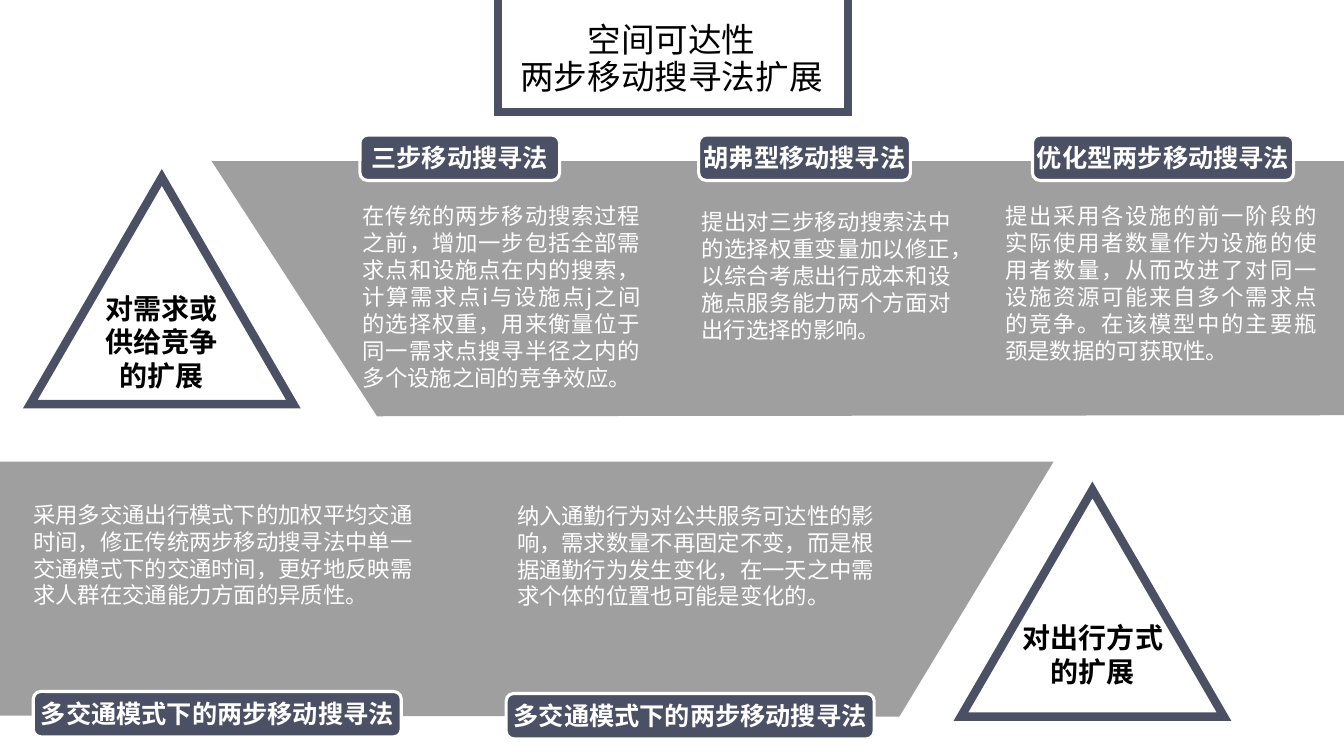
from lxml import etree
from pptx import Presentation
from pptx.dml.color import RGBColor
from pptx.enum import shapes, text
from pptx.oxml import ns
from pptx.util import Inches, Pt

FONT = "Noto Sans CJK SC"
SLATE, GRAY, WHITE, BLACK = "4B5064", "808080", "FFFFFF", "000000"
CENTER, JUSTIFY = text.PP_ALIGN.CENTER, text.PP_ALIGN.JUSTIFY
LEFT = text.PP_ALIGN.LEFT
TOP, MIDDLE = text.MSO_ANCHOR.TOP, text.MSO_ANCHOR.MIDDLE

TRIANGLES = [(0.3, 1.76), (9.53, 4.86)]
TRIANGLE_TEXTS = [
    (0.89, 2.84, 1.43, 1.11, "对需求或供给竞争的扩展"),
    (9.98, 6.11, 1.72, 0.77, "对出行方式的扩展"),
]
LABELS = [
    (3.57, 1.34, 1.98, "三步移动搜寻法"),
    (6.93, 1.34, 2.1, "胡弗型移动搜寻法"),
    (10.24, 1.34, 2.59, "优化型两步移动搜寻法"),
    (0.33, 6.86, 3.65, "多交通模式下的两步移动搜寻法"),
    (5.02, 6.88, 3.65, "多交通模式下的两步移动搜寻法"),
]
DESCRIPTIONS = [
    (3.5, 1.96, 2.95, 1.99, JUSTIFY,
     "在传统的两步移动搜索过程之前，增加一步包括全部需求点和设施点在内的搜索，"
     "计算需求点i与设施点j之间的选择权重，用来衡量位于同一需求点搜寻半径之内的"
     "多个设施之间的竞争效应。"),
    (6.86, 2.02, 2.67, 1.45, JUSTIFY,
     "提出对三步移动搜索法中的选择权重变量加以修正，以综合考虑出行成本和设施点"
     "服务能力两个方面对出行选择的影响。"),
    (9.87, 1.96, 3.29, 1.72, JUSTIFY,
     "提出采用各设施的前一阶段的实际使用者数量作为设施的使用者数量，从而改进了"
     "对同一设施资源可能来自多个需求点的竞争。在该模型中的主要瓶颈是数据的可获取性。"),
    (0.23, 4.92, 3.99, 1.18, LEFT,
     "采用多交通出行模式下的加权平均交通时间，修正传统两步移动搜寻法中单一交通"
     "模式下的交通时间，更好地反映需求人群在交通能力方面的异质性。"),
    (5.03, 4.93, 3.94, 1.18, LEFT,
     "纳入通勤行为对公共服务可达性的影响，需求数量不再固定不变，而是根据通勤行为"
     "发生变化，在一天之中需求个体的位置也可能是变化的。"),
]


def color(value):
    return RGBColor.from_string(value)


def write(box, content, size=16, fill=WHITE, bold=False, align=LEFT,
          anchor=TOP, wrap=True, spacing=None):
    frame = box.text_frame
    frame.word_wrap = wrap
    frame.vertical_anchor = anchor
    para = frame.paragraphs[0]
    para.text = content
    para.alignment = align
    para.line_spacing = spacing
    for span in para.runs:
        span.font.size = Pt(size)
        span.font.bold = bold
        span.font.color.rgb = color(fill)
        span.font.name = FONT
        # East Asian glyphs take their own typeface element
        east = etree.SubElement(span._r.get_or_add_rPr(), ns.qn("a:ea"))
        east.set("typeface", FONT)


def add_text(page, left, top, width, height, content, **style):
    box = page.shapes.add_textbox(Inches(left), Inches(top), Inches(width), Inches(height))
    write(box, content, **style)


def add_outlined(page, kind, left, top, width, height, line, weight, fill=None):
    shape = page.shapes.add_shape(kind, Inches(left), Inches(top), Inches(width), Inches(height))
    shape.shadow.inherit = False
    if fill:
        shape.fill.solid()
        shape.fill.fore_color.rgb = color(fill)
    else:
        shape.fill.background()
    shape.line.color.rgb = color(line)
    shape.line.width = Pt(weight)
    # Sharp corners
    outline = shape.line._get_or_add_ln()
    etree.SubElement(outline, ns.qn("a:miter")).set("lim", "800000")
    return shape


def add_band(page, points):
    corners = [(Inches(x), Inches(y)) for x, y in points]
    builder = page.shapes.build_freeform(*corners[0])
    builder.add_line_segments(corners[1:], close=True)
    band = builder.convert_to_shape()
    band.shadow.inherit = False
    band.line.fill.background()
    band.fill.solid()
    band.fill.fore_color.rgb = color(GRAY)
    tint = band._element.spPr.find(".//" + ns.qn("a:srgbClr"))
    etree.SubElement(tint, ns.qn("a:alpha")).set("val", "75000")


def add_label(page, left, top, width, content):
    label = add_outlined(page, shapes.MSO_SHAPE.ROUNDED_RECTANGLE, left, top,
                         width, 0.45, WHITE, 2.25, fill=SLATE)
    write(label, content, size=18, bold=True, align=CENTER, wrap=False)


def add_title(page, content):
    add_outlined(page, shapes.MSO_SHAPE.RECTANGLE, 4.94, -0.6, 3.47, 1.71,
                 SLATE, 5.5, fill=WHITE)
    title = page.shapes.title
    title.left, title.top = Inches(5.05), Inches(0.25)
    title.width, title.height = Inches(3.22), Inches(0.69)
    write(title, content, size=24, fill=BLACK, align=CENTER, anchor=MIDDLE, spacing=0.9)
    # Bring the title in front of its frame
    title.element.getparent().append(title.element)


def main():
    deck = Presentation()
    deck.slide_width, deck.slide_height = Inches(13.33), Inches(7.5)
    page = deck.slides.add_slide(deck.slide_layouts[5])

    # Background bands
    add_band(page, [(0, 4.58), (10.45, 4.58), (8.92, 7.11), (0, 7.1)])
    add_band(page, [(13.33, 1.6), (2.1, 1.6), (3.74, 4.13), (13.33, 4.12)])

    # Title
    add_title(page, """空间可达性
两步移动搜寻法扩展""".replace("\n", "\v"))

    # Triangles and their captions
    for left, top in TRIANGLES:
        add_outlined(page, shapes.MSO_SHAPE.ISOSCELES_TRIANGLE, left, top,
                     2.61, 2.25, SLATE, 6)
    for *place, content in TRIANGLE_TEXTS:
        add_text(page, *place, content, size=20, fill=BLACK, bold=True, align=CENTER)

    # Method labels and descriptions
    for label in LABELS:
        add_label(page, *label)
    for *place, align, content in DESCRIPTIONS:
        add_text(page, *place, content, align=align)

    deck.save("out.pptx")


if __name__ == "__main__":
    main()
